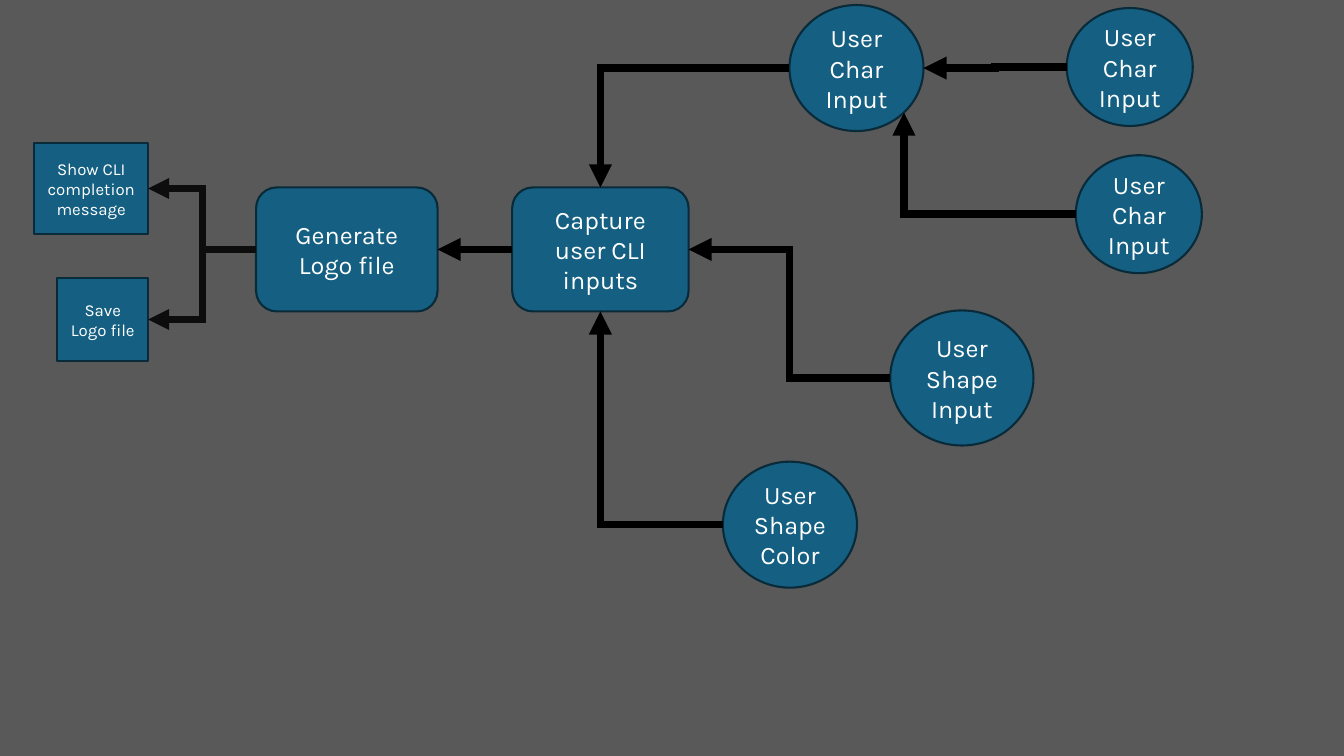
from dataclasses import dataclass

from lxml import etree
from pptx import Presentation
from pptx.dml.color import RGBColor
from pptx.enum.shapes import MSO_CONNECTOR, MSO_SHAPE
from pptx.enum.text import MSO_ANCHOR, PP_ALIGN
from pptx.oxml.ns import qn
from pptx.util import Inches, Pt

RECT = MSO_SHAPE.RECTANGLE
ROUND = MSO_SHAPE.ROUNDED_RECTANGLE
OVAL = MSO_SHAPE.OVAL
ELBOW = MSO_CONNECTOR.ELBOW
MIDDLE = MSO_ANCHOR.MIDDLE
CENTER = PP_ALIGN.CENTER


@dataclass(frozen=True)
class Theme:
    back: RGBColor = RGBColor(0x59, 0x59, 0x59)
    fill: RGBColor = RGBColor(0x15, 0x60, 0x82)
    edge: RGBColor = RGBColor(0x09, 0x2A, 0x39)
    text: RGBColor = RGBColor(0xFF, 0xFF, 0xFF)
    flow: RGBColor = RGBColor(0x00, 0x00, 0x00)
    fork: RGBColor = RGBColor(0x0D, 0x0D, 0x0D)
    font: str = "Karla"
    large: Pt = Pt(18)
    small: Pt = Pt(12)
    border: Pt = Pt(1.5)
    thick: Pt = Pt(5.5)
    thin: Pt = Pt(5)


THEME = Theme()

# Points on a box, as shares of its width and height
LEFT, RIGHT = (0, 0.5), (1, 0.5)
TOP, BOTTOM = (0.5, 0), (0.5, 1)
CORNER = (0.854, 0.854)  # lower right of an oval

# Name: form, text, text size, left, top, width, height
NODES = {
    "save": (RECT, "Save Logo file", THEME.small, 0.57, 2.76, 0.9, 0.82),
    "show": (RECT, "Show CLI completion message", THEME.small, 0.34, 1.42, 1.13, 0.9),
    "make": (ROUND, "Generate Logo file", THEME.large, 2.54, 1.86, 1.8, 1.23),
    "capture": (ROUND, "Capture user CLI inputs", THEME.large, 5.08, 1.86, 1.75, 1.23),
    "char": (OVAL, "User Char Input", THEME.large, 7.83, 0.05, 1.33, 1.25),
    "shape": (OVAL, "User Shape Input", THEME.large, 8.83, 3.08, 1.42, 1.34),
    "color": (OVAL, "User Shape Color", THEME.large, 7.17, 4.58, 1.33, 1.25),
    "lower": (OVAL, "User Char Input", THEME.large, 10.67, 1.54, 1.25, 1.17),
    "upper": (OVAL, "User Char Input", THEME.large, 10.58, 0.08, 1.25, 1.17),
}

# Every link leaves the left side of its source: source, target, point on target
FORKS = [("make", "save", RIGHT), ("make", "show", RIGHT)]
FLOWS = [
    ("shape", "capture", RIGHT),
    ("color", "capture", BOTTOM),
    ("char", "capture", TOP),
    ("upper", "char", RIGHT),
    ("lower", "char", CORNER),
    ("capture", "make", RIGHT),
]


def apply(item, values):
    for name, value in values.items():
        setattr(item, name, value)


def add_node(slide, form, text, size, *box):
    node = slide.shapes.add_shape(form, *map(Inches, box))
    node.shadow.inherit = False
    node.fill.solid()
    node.fill.fore_color.rgb = THEME.fill
    node.line.color.rgb = THEME.edge
    node.line.width = THEME.border
    frame = node.text_frame
    apply(frame, {"word_wrap": True, "vertical_anchor": MIDDLE})
    para = frame.paragraphs[0]
    apply(para, {"text": text, "alignment": CENTER})
    apply(para.font, {"name": THEME.font, "size": size})
    para.font.color.rgb = THEME.text
    return node


def find_point(node, share):
    return (node.left + int(node.width * share[0]),
            node.top + int(node.height * share[1]))


def add_link(slide, source, target, spot, color, width):
    start, end = find_point(source, LEFT), find_point(target, spot)
    link = slide.shapes.add_connector(ELBOW, *start, *end)
    link.line.color.rgb = color
    link.line.width = width
    props = link.element.spPr
    # A link that enters from above or below has a single bend
    if spot != RIGHT:
        props.find(qn("a:prstGeom")).set("prst", "bentConnector2")
    line = props.find(qn("a:ln"))
    etree.SubElement(line, qn("a:miter"), lim="800000")
    etree.SubElement(line, qn("a:tailEnd"), type="triangle")
    etree.SubElement(props, qn("a:effectLst"))


def main():
    deck = Presentation()
    apply(deck, {"slide_width": Inches(13.33), "slide_height": Inches(7.5)})
    slide = deck.slides.add_slide(deck.slide_layouts[6])
    slide.background.fill.solid()
    slide.background.fill.fore_color.rgb = THEME.back

    # Boxes and ovals
    nodes = {name: add_node(slide, *data) for name, data in NODES.items()}

    # Arrows
    styles = [(FORKS, THEME.fork, THEME.thin), (FLOWS, THEME.flow, THEME.thick)]
    for links, color, width in styles:
        for source, target, spot in links:
            add_link(slide, nodes[source], nodes[target], spot, color, width)

    deck.save("out.pptx")


if __name__ == "__main__":
    main()
